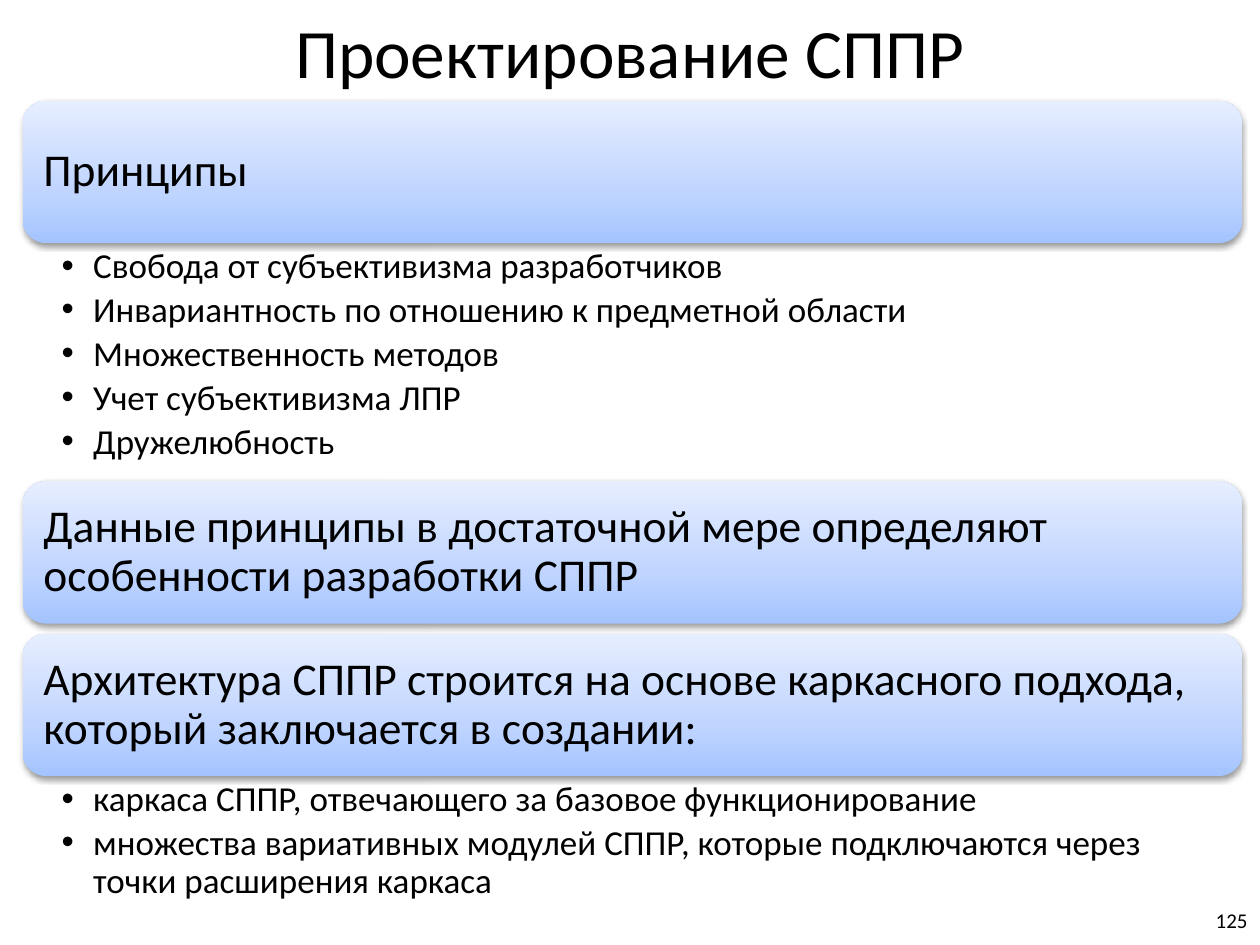
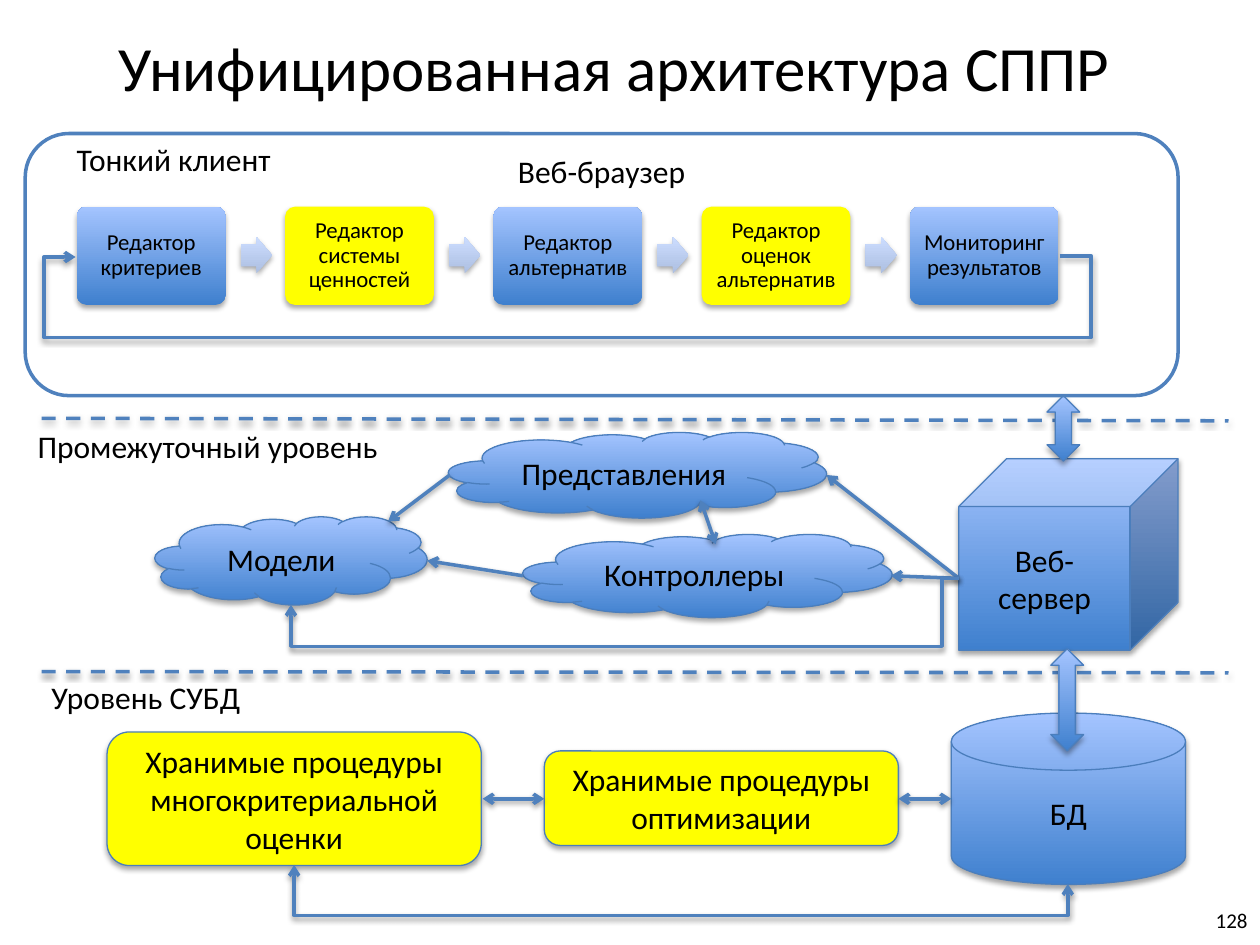
from dataclasses import dataclass
from typing import Any, Optional

from lxml.etree import SubElement
from pptx import Presentation
from pptx.dml.color import RGBColor
from pptx.enum.dml import MSO_LINE_DASH_STYLE as Dash
from pptx.enum.shapes import MSO_AUTO_SHAPE_TYPE as Geo, MSO_CONNECTOR_TYPE as Conn
from pptx.enum.text import MSO_ANCHOR as Anchor, MSO_AUTO_SIZE as AutoSize, PP_ALIGN as Align
from pptx.oxml.ns import qn
from pptx.util import Inches, Pt

FONT = "Calibri"
BLACK, YELLOW = "000000", "FFFF00"
LINE, OUTLINE = "4F81BD", "4B7EBC"
BLUE = ((0, "3F80CE"), (100, "A4C4FF"))
PALE = ((0, "ADBFE1"), (100, "CCDDFF"))
LIGHT = ((0, "A4C4FF"), (35, "BFD4FF"), (100, "E6EEFF"))

Box = tuple[float, float, float, float]
Point = tuple[float, float]


@dataclass(frozen=True)
class Shadow:
    alpha: int
    blur: float
    dist: float


SOFT = Shadow(38, 3.1, 1.6)
DEEP = Shadow(35, 3.1, 1.8)


@dataclass(frozen=True)
class Look:
    fill: Any = None
    line: Optional[str] = None
    width: float = 0.75
    shadow: Optional[Shadow] = DEEP
    size: float = 18
    inset: Optional[float] = None
    spacing: float = 1.0
    align: Align = Align.CENTER
    anchor: Anchor = Anchor.MIDDLE


BAND = Look(LIGHT, shadow=SOFT, size=26, inset=0.11, spacing=0.9, align=Align.LEFT)
NODE = Look(BLUE, OUTLINE)
PROCEDURE = Look(YELLOW, OUTLINE)
EDITOR = Look(BLUE, size=13, inset=0.05, spacing=0.9)
NEW_EDITOR = Look(YELLOW, size=13, inset=0.05, spacing=0.9)
STEP = Look(PALE)
FRAME = Look(line=LINE, width=2, shadow=None, anchor=Anchor.TOP)


@dataclass(frozen=True)
class Node:
    geo: Geo
    box: Box
    text: str = ""
    look: Look = NODE


@dataclass(frozen=True)
class Link:
    start: Point
    end: Point
    tail: bool = True
    head: bool = False
    dash: bool = False
    bends: tuple[float, ...] = ()
    rot: int = 0


def rgb(hex_: str) -> RGBColor:
    return RGBColor.from_string(hex_)


def inches(*values: float) -> list[int]:
    return [Inches(v) for v in values]


def apply(obj: Any, values: dict[str, Any]) -> None:
    for name, value in values.items():
        setattr(obj, name, value)


def place(sp: Any, box: Box) -> None:
    apply(sp, dict(zip(("left", "top", "width", "height"), inches(*box))))


def write(p: Any, text: str, size: float, **values: Any) -> None:
    """Fill a paragraph with one run; values are paragraph settings."""
    apply(p, values)
    r = p.add_run()
    r.text = text
    apply(r.font, {"name": FONT, "size": Pt(size)})
    r.font.color.rgb = rgb(BLACK)


def set_insets(tf: Any, left: float, top: float, right: float, bottom: float) -> None:
    sides = ("margin_left", "margin_top", "margin_right", "margin_bottom")
    apply(tf, dict(zip(sides, inches(left, top, right, bottom))))


def add_shadow(spPr: Any, shadow: Optional[Shadow]) -> None:
    effects = spPr.find(qn("a:effectLst"))
    if effects is None:
        effects = SubElement(spPr, qn("a:effectLst"))
    if shadow:
        outer = SubElement(effects, qn("a:outerShdw"), blurRad=str(Pt(shadow.blur)),
                           dist=str(Pt(shadow.dist)), dir="5400000", rotWithShape="0")
        color = SubElement(outer, qn("a:srgbClr"), val=str(rgb(BLACK)))
        SubElement(color, qn("a:alpha"), val=str(shadow.alpha * 1000))


def paint(sp: Any, fill: Any) -> None:
    """Fill with nothing, one colour, or gradient stops running upwards."""
    if fill is None:
        sp.fill.background()
    elif isinstance(fill, str):
        sp.fill.solid()
        sp.fill.fore_color.rgb = rgb(fill)
    else:
        sp.fill.gradient()
        sp.fill.gradient_angle = 90
        stops = sp._element.spPr.find(qn("a:gradFill")).find(qn("a:gsLst"))
        for old in list(stops):
            stops.remove(old)
        for pos, color in fill:
            gs = SubElement(stops, qn("a:gs"), pos=str(pos * 1000))
            SubElement(gs, qn("a:srgbClr"), val=str(rgb(color)))


def add_node(s: Any, node: Node, adjustments: tuple[float, ...] = ()) -> None:
    look = node.look
    sp = s.shapes.add_shape(node.geo, *inches(*node.box))
    for i, value in enumerate(adjustments):
        sp.adjustments[i] = value
    paint(sp, look.fill)
    if look.line:
        sp.line.color.rgb = rgb(look.line)
        sp.line.width = Pt(look.width)
    else:
        sp.line.fill.background()
    sp.shadow.inherit = False
    add_shadow(sp._element.spPr, look.shadow)
    if node.text:
        tf = sp.text_frame
        apply(tf, {"word_wrap": True, "vertical_anchor": look.anchor})
        if look.inset is not None:
            set_insets(tf, *[look.inset] * 4)
        write(tf.paragraphs[0], node.text, look.size,
              alignment=look.align, line_spacing=look.spacing)


def add_link(s: Any, link: Link) -> None:
    kind = Conn.ELBOW if link.bends else Conn.STRAIGHT
    c = s.shapes.add_connector(kind, *inches(*link.start, *link.end))
    c.line.color.rgb = rgb(LINE)
    c.line.width = Pt(2)
    if link.dash:
        c.line.dash_style = Dash.DASH
    spPr = c._element.spPr
    ln = spPr.find(qn("a:ln"))
    for shown, tag in ((link.head, "a:headEnd"), (link.tail, "a:tailEnd")):
        if shown:
            SubElement(ln, qn(tag), type="arrow")
    if link.bends:
        geom = spPr.find(qn("a:prstGeom"))
        geom.set("prst", f"bentConnector{len(link.bends) + 2}")
        guides = geom.find(qn("a:avLst"))
        if guides is None:
            guides = SubElement(geom, qn("a:avLst"))
        # Bends alternate between the horizontal and the vertical extent.
        extents = [abs(b - a) for a, b in zip(link.start, link.end)]
        for i, bend in enumerate(link.bends):
            value = round(bend / extents[i % 2] * 100000)
            SubElement(guides, qn("a:gd"), name=f"adj{i + 1}" if len(link.bends) > 1 else "adj1",
                       fmla=f"val {value}")
    if link.rot:
        spPr.find(qn("a:xfrm")).set("rot", str(link.rot * 60000))
    add_shadow(spPr, SOFT)


def add_label(s: Any, text: str, box: Box, size: float = 18, wrap: bool = False, **values: Any) -> None:
    tf = s.shapes.add_textbox(*inches(*box)).text_frame
    apply(tf, {"word_wrap": wrap, "vertical_anchor": Anchor.MIDDLE})
    write(tf.paragraphs[0], text, size, **values)


def add_bullets(body: Any, box: Box, items: list[str]) -> None:
    place(body, box)
    tf = body.text_frame
    apply(tf, {"auto_size": AutoSize.NONE, "vertical_anchor": Anchor.TOP, "word_wrap": True})
    set_insets(tf, 0.31, 0.04, 0.2, 0.04)
    for i, item in enumerate(items):
        p = tf.add_paragraph() if i else tf.paragraphs[0]
        pPr = p._p.get_or_add_pPr()
        pPr.set("marL", str(Inches(0.25)))
        pPr.set("indent", str(Inches(-0.25)))
        SubElement(pPr, qn("a:buFont"), typeface="Arial")
        SubElement(pPr, qn("a:buChar"), char="•")
        write(p, item, 20, line_spacing=0.9, space_before=Pt(0), space_after=Pt(3.5))


def add_slide(prs: Any, layout: int, title: str, box: Box, size: float, number: int) -> Any:
    s = prs.slides.add_slide(prs.slide_layouts[layout])
    place(s.shapes.title, box)
    tf = s.shapes.title.text_frame
    apply(tf, {"auto_size": AutoSize.NONE, "vertical_anchor": Anchor.MIDDLE})
    write(tf.paragraphs[0], title, size, alignment=Align.CENTER)
    add_label(s, str(number), (7.67, 7.1, 2.33, 0.4), 12, True, alignment=Align.RIGHT)
    return s


def build_principles(prs: Any) -> None:
    s = add_slide(prs, 3, "Проектирование СППР", (0.5, 0.06, 9, 0.69), 39.6, 125)
    bands = {
        0.8: "Принципы",
        3.82: "Данные принципы в достаточной мере определяют особенности разработки СППР",
        5.03: "Архитектура СППР строится на основе каркасного подхода, который заключается в создании:",
    }
    for top, text in bands.items():
        add_node(s, Node(Geo.ROUNDED_RECTANGLE, (0.18, top, 9.68, 1.13), text, BAND))
    add_bullets(s.placeholders[1], (0.18, 1.93, 9.68, 1.88), [
        "Свобода от субъективизма разработчиков",
        "Инвариантность по отношению к предметной области",
        "Множественность методов",
        "Учет субъективизма ЛПР",
        "Дружелюбность",
    ])
    add_bullets(s.placeholders[2], (0.18, 6.16, 9.68, 1.06), [
        "каркаса СППР, отвечающего за базовое функционирование",
        "множества вариативных модулей СППР, которые подключаются через точки расширения каркаса",
    ])


def add_editors(s: Any) -> None:
    """Draw the chain of editors with an arrow between neighbours."""
    editors = [
        ("Редактор критериев", EDITOR),
        ("Редактор системы ценностей", NEW_EDITOR),
        ("Редактор альтернатив", EDITOR),
        ("Редактор оценок альтернатив", NEW_EDITOR),
        ("Мониторинг результатов", EDITOR),
    ]
    for i, (text, look) in enumerate(editors):
        left = 0.61 + 1.653 * i
        add_node(s, Node(Geo.ROUNDED_RECTANGLE, (left, 1.64, 1.18, 0.78), text, look), (0.1,))
        if i < len(editors) - 1:
            add_node(s, Node(Geo.RIGHT_ARROW, (left + 1.3, 1.88, 0.25, 0.29), look=STEP), (0.6, 0.5))


def build_architecture(prs: Any) -> None:
    s = add_slide(prs, 5, "Унифицированная архитектура СППР", (0, 0.12, 9.75, 0.82), 36, 128)
    storage = [
        Link((0.33, 5.33), (9.75, 5.34), tail=False, dash=True),
        Node(Geo.FLOWCHART_MAGNETIC_DISK, (7.55, 5.66, 1.86, 1.36), "БД"),
        Node(Geo.ROUNDED_RECTANGLE, (0.85, 5.81, 2.97, 1.06),
             "Хранимые процедуры многокритериальной оценки", PROCEDURE),
        Node(Geo.CUBE, (7.61, 3.64, 1.74, 1.52), "Веб-сервер"),
        Node(Geo.ROUNDED_RECTANGLE, (4.32, 5.96, 2.81, 0.75),
             "Хранимые процедуры оптимизации", PROCEDURE),
        Link((5.48, 3.87), (5.33, 10.01), head=True, bends=(0.4,), rot=270),
        Link((7.13, 6.34), (7.55, 6.34), head=True),
        Link((3.83, 6.34), (4.32, 6.34), head=True),
        Node(Geo.UP_DOWN_ARROW, (8.34, 5.15, 0.26, 0.81)),
        Link((0.33, 3.32), (9.75, 3.34), tail=False, dash=True),
        Node(Geo.UP_DOWN_ARROW, (8.31, 3.14, 0.26, 0.52)),
    ]
    middle = [
        Link((8.41, 2.03), (0.6, 2.04), bends=(-0.25, 0.66, 8.06)),
        Node(Geo.CLOUD, (1.23, 4.1, 2.16, 0.7), "Модели"),
        Node(Geo.CLOUD, (4.15, 4.24, 2.93, 0.66), "Контроллеры"),
        Node(Geo.CLOUD, (3.56, 3.43, 3, 0.68), "Представления"),
        Link((3.57, 3.77), (3.08, 4.14)),
        Link((4.15, 4.57), (3.39, 4.45)),
        Link((5.56, 3.97), (5.68, 4.32), head=True),
        Link((7.61, 4.59), (6.56, 3.77)),
        Link((7.61, 4.59), (7.07, 4.57)),
        Link((7.61, 4.59), (2.31, 4.8), bends=(0.13, 0.54)),
        Node(Geo.ROUNDED_RECTANGLE, (0.2, 1.06, 9.15, 2.08), "Веб-браузер", FRAME),
    ]
    for i, group in enumerate((storage, middle)):
        if i:
            add_editors(s)
        for item in group:
            add_link(s, item) if isinstance(item, Link) else add_node(s, item)
    add_label(s, "Тонкий клиент", (0.51, 1.06, 1.8, 0.4))
    add_label(s, "Промежуточный уровень", (0.2, 3.34, 3, 0.4))
    add_label(s, "Уровень СУБД", (0.31, 5.33, 1.75, 0.4))


def main() -> None:
    prs = Presentation()
    apply(prs, {"slide_width": Inches(10), "slide_height": Inches(7.5)})
    build_principles(prs)
    build_architecture(prs)
    prs.save("out.pptx")


if __name__ == "__main__":
    main()
